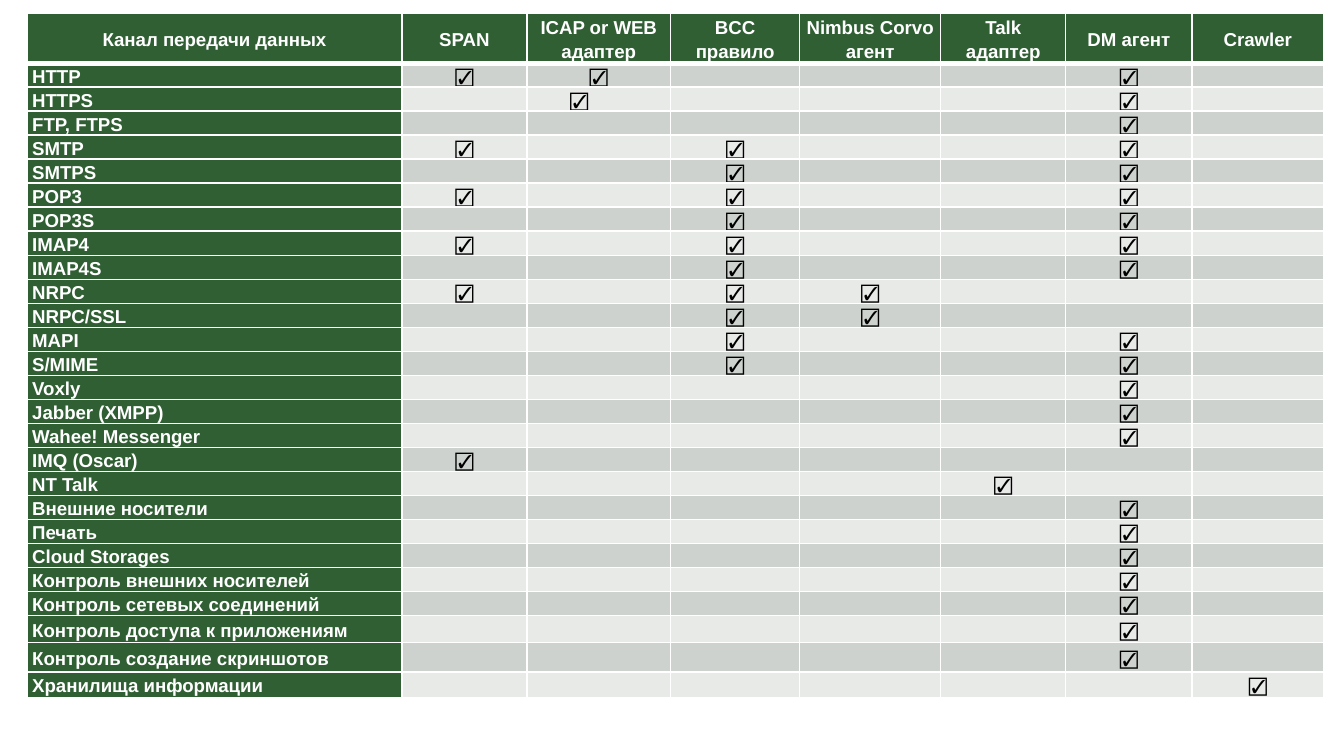
from lxml import etree
from pptx import Presentation
from pptx.dml.color import RGBColor
from pptx.enum.text import MSO_ANCHOR, PP_ALIGN
from pptx.oxml.ns import qn
from pptx.util import Inches, Pt

MIDDLE = MSO_ANCHOR.MIDDLE
LEFT, CENTER = PP_ALIGN.LEFT, PP_ALIGN.CENTER
GREEN, WHITE, BLACK = "305F33", "FFFFFF", "000000"
BANDS = ("E8EAE8", "CDD2CE")
MARK = "☑"
SIZE = 10

HEADS = ["Канал передачи данных", "SPAN", "ICAP or WEB адаптер", "BCC правило",
         "Nimbus Corvo агент", "Talk адаптер", "DM агент", "Crawler"]
SPAN, ICAP, BCC, NOTES, TALK, DM, CRAWL = range(1, 8)
CHANNELS = [
    ("HTTP", (SPAN, ICAP, DM)),
    ("HTTPS", (ICAP, DM)),
    ("FTP, FTPS", (DM,)),
    ("SMTP", (SPAN, BCC, DM)),
    ("SMTPS", (BCC, DM)),
    ("POP3", (SPAN, BCC, DM)),
    ("POP3S", (BCC, DM)),
    ("IMAP4", (SPAN, BCC, DM)),
    ("IMAP4S", (BCC, DM)),
    ("NRPC", (SPAN, BCC, NOTES)),
    ("NRPC/SSL", (BCC, NOTES)),
    ("MAPI", (BCC, DM)),
    ("S/MIME", (BCC, DM)),
    ("Voxly", (DM,)),
    ("Jabber (XMPP)", (DM,)),
    ("Wahee! Messenger", (DM,)),
    ("IMQ (Oscar)", (SPAN,)),
    ("NT Talk", (TALK,)),
    ("Внешние носители", (DM,)),
    ("Печать", (DM,)),
    ("Cloud Storages", (DM,)),
    ("Контроль внешних носителей", (DM,)),
    ("Контроль сетевых соединений", (DM,)),
    ("Контроль доступа к приложениям", (DM,)),
    ("Контроль создание скриншотов", (DM,)),
    ("Хранилища информации", (CRAWL,)),
]
WIDTHS = [2.79, 0.93, 1.07, 0.96, 1.05, 0.93, 0.94, 0.98]
HEAD, TAIL = 0.37, [0.15, 0.16, 0.16, 0.2, 0.22, 0.19]
# Slim rows grow to fit their text
HEIGHTS = [HEAD] + [0.12] * (len(CHANNELS) - len(TAIL)) + TAIL


def color(code):
    return RGBColor.from_string(code)


def border(cell, top, bottom):
    props = cell._tc.get_or_add_tcPr()
    for side, width in (("L", 1), ("R", 1), ("T", top), ("B", bottom)):
        line = etree.SubElement(props, qn(f"a:ln{side}"), w=str(Pt(width)))
        fill = etree.SubElement(line, qn("a:solidFill"))
        etree.SubElement(fill, qn("a:srgbClr"), val=WHITE)


def style(cell, row, col):
    label = row == 0 or col == 0
    border(cell, 3 if row == 1 else 1, 3 if row == 0 else 1)
    cell.fill.solid()
    cell.fill.fore_color.rgb = color(GREEN if label else BANDS[row % 2])
    cell.vertical_anchor = MIDDLE
    cell.margin_left = cell.margin_right = Inches(0.04)
    cell.margin_top = cell.margin_bottom = 0
    para = cell.text_frame.paragraphs[0]
    para.alignment = LEFT if row and not col else CENTER
    para.line_spacing = 1.15
    for run in para.runs:
        font = run.font
        font.name, font.size, font.bold = "Arial", Pt(SIZE), label
        font.color.rgb = color(WHITE if label else BLACK)
    if not para.runs:
        # Keeps an empty cell from stretching its row
        etree.SubElement(para._p, qn("a:endParaRPr"), sz=str(SIZE * 100))


def main():
    deck = Presentation()
    deck.slide_width = Inches(10)
    deck.slide_height = deck.slide_width * 9 // 16
    slide = deck.slides.add_slide(deck.slide_layouts[6])
    frame = slide.shapes.add_table(
        len(HEIGHTS), len(WIDTHS), Inches(0.2), Inches(0.1),
        Inches(sum(WIDTHS)), Inches(sum(HEIGHTS)))
    grid = frame.table
    for column, width in zip(grid.columns, WIDTHS):
        column.width = Inches(width)
    for row, height in zip(grid.rows, HEIGHTS):
        row.height = Inches(height)
    frame.height = Inches(5.4)

    lines = [HEADS]
    for name, marks in CHANNELS:
        lines.append([name] + [MARK if col in marks else ""
                               for col in range(1, len(HEADS))])
    for row, line in enumerate(lines):
        for col, text in enumerate(line):
            cell = grid.cell(row, col)
            cell.text_frame.text = text
            style(cell, row, col)

    # The HTTPS mark under ICAP is indented from the left
    para = grid.cell(2, ICAP).text_frame.paragraphs[0]
    para.alignment = LEFT
    para._p.get_or_add_pPr().set("marL", str(Inches(0.28)))
    deck.save("out.pptx")


if __name__ == "__main__":
    main()
